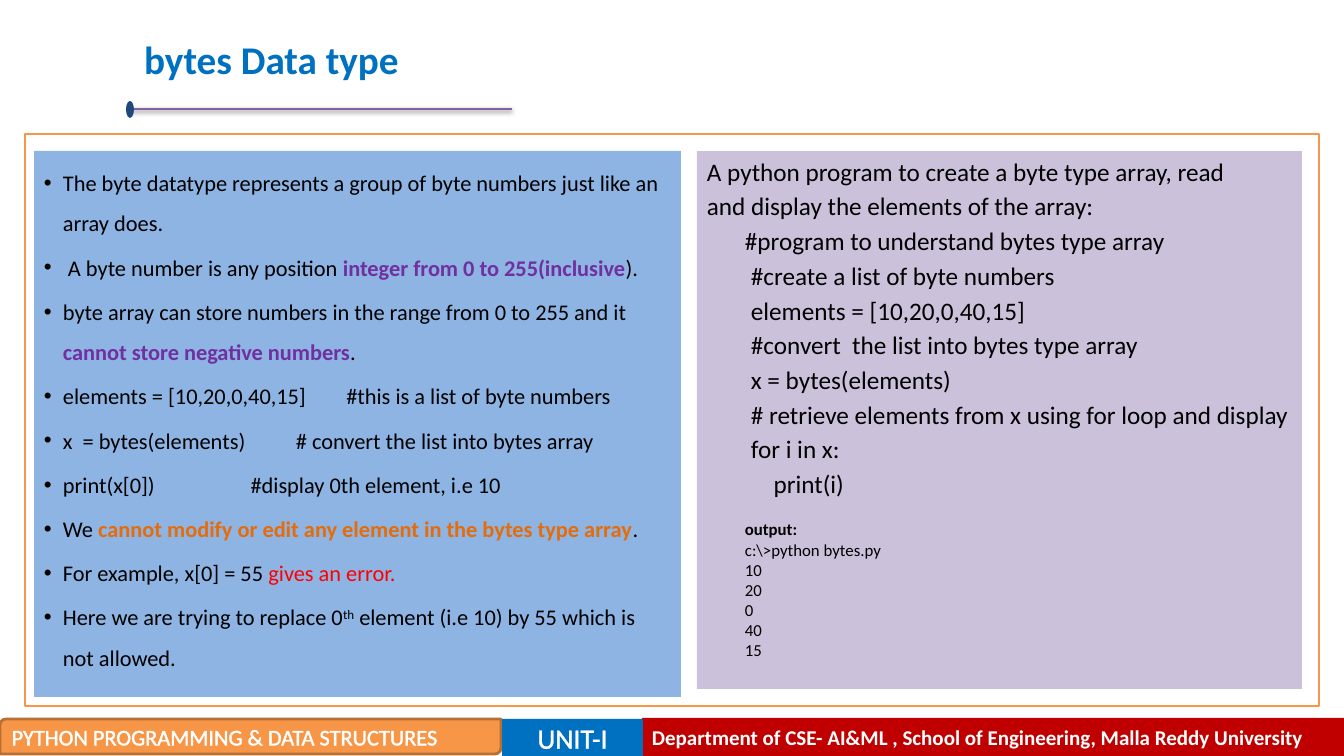
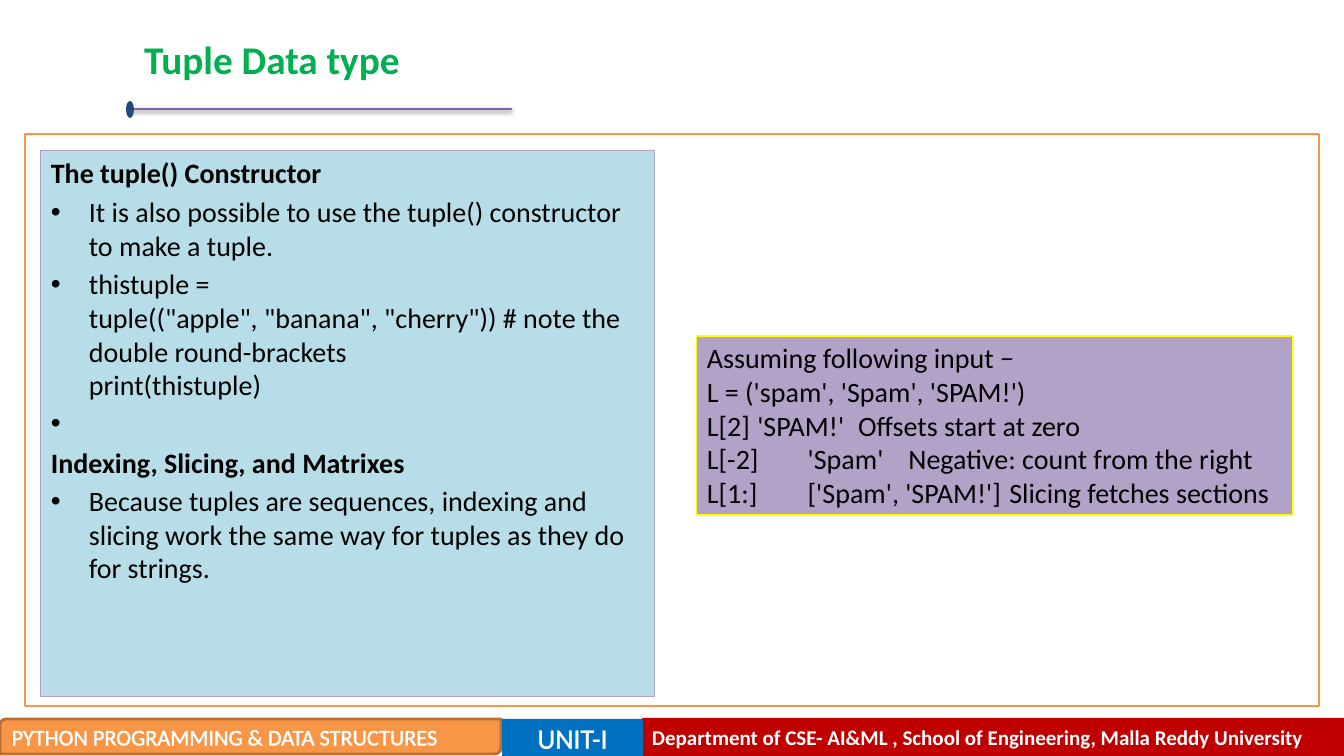
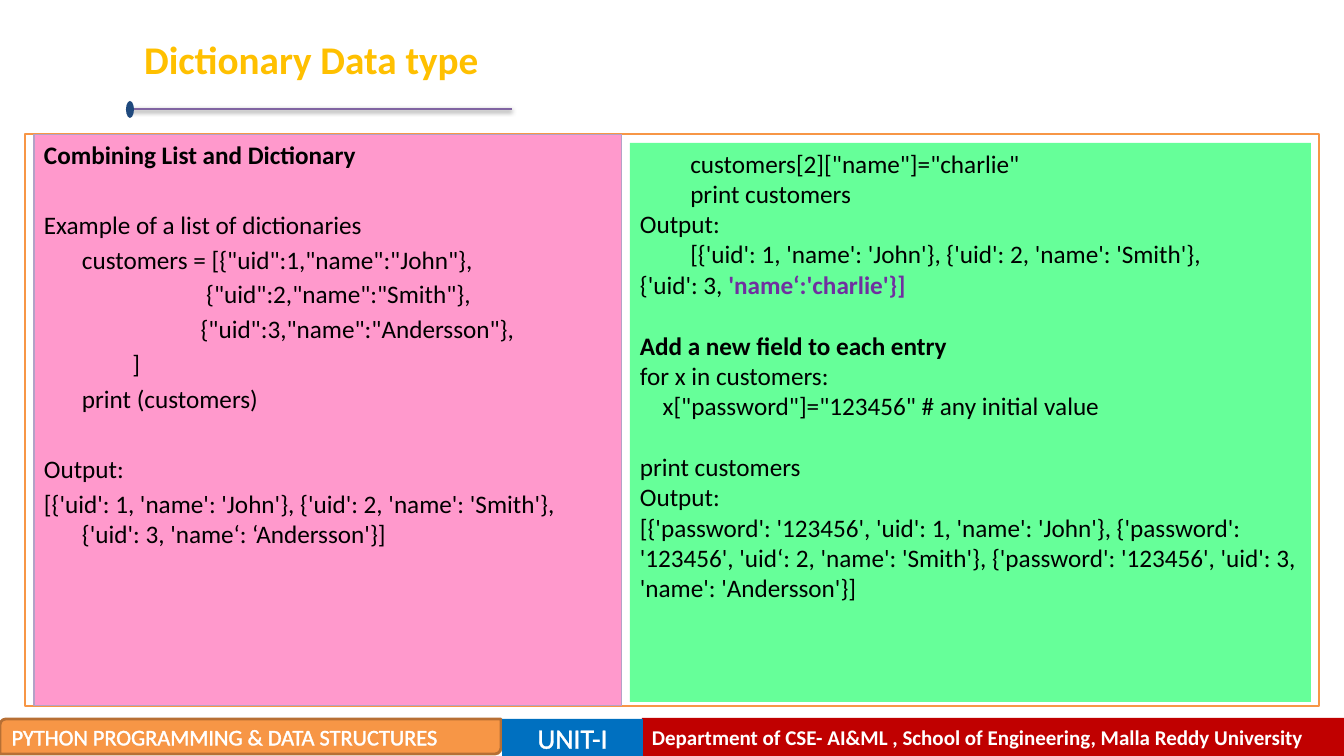
import pptx
import pptx.util
import pptx.dml.color
import pptx.enum.shapes
import pptx.enum.text
import pptx.oxml
import pptx.oxml.ns
from lxml import etree

RGB = pptx.dml.color.RGBColor
SHAPE = pptx.enum.shapes.MSO_SHAPE
ALIGN = pptx.enum.text.PP_ALIGN
ANCHOR = pptx.enum.text.MSO_ANCHOR
Pt = pptx.util.Pt
qn = pptx.oxml.ns.qn

EMU_PER_PX = 914400 / 100.8
FONT = "Calibri"
BLACK = RGB(0x00, 0x00, 0x00)
WHITE = RGB(0xFF, 0xFF, 0xFF)
BLUE = RGB(0x00, 0x70, 0xC0)
NAVY = RGB(0x1F, 0x49, 0x7D)
GREEN = RGB(0x00, 0xB0, 0x50)
GOLD = RGB(0xFF, 0xC0, 0x00)
RED = RGB(0xFF, 0x00, 0x00)
DARK_RED = RGB(0xC0, 0x00, 0x00)
ORANGE = RGB(0xF7, 0x96, 0x46)
BROWN = RGB(0xB7, 0x6F, 0x34)
DARK_ORANGE = RGB(0xE4, 0x6C, 0x0A)
PURPLE = RGB(0x70, 0x30, 0xA0)
RULE_PURPLE = RGB(0x80, 0x64, 0xA2)
SKY = RGB(0x8E, 0xB4, 0xE3)
LILAC = RGB(0xCC, 0xC1, 0xDA)
AQUA = RGB(0xB7, 0xDE, 0xE8)
MAUVE = RGB(0xB3, 0xA2, 0xC7)
YELLOW = RGB(0xFF, 0xFF, 0x00)
PINK = RGB(0xFF, 0x99, 0xCC)
MINT = RGB(0x66, 0xFF, 0x99)

TEXT_OUTLINE = (
    '<a:ln xmlns:a="http://schemas.openxmlformats.org/drawingml/2006/main" w="18415">'
    '<a:solidFill><a:srgbClr val="FFFFFF"/></a:solidFill></a:ln>'
)
RULE_SHADOW = (
    '<a:effectLst xmlns:a="http://schemas.openxmlformats.org/drawingml/2006/main">'
    '<a:outerShdw blurRad="40000" dist="20000" dir="5400000" rotWithShape="0">'
    '<a:srgbClr val="000000"><a:alpha val="38000"/></a:srgbClr>'
    '</a:outerShdw></a:effectLst>'
)


def px(n):
    return round(n * EMU_PER_PX)


def add_text(p, text, size=18, color=BLACK, bold=False, outline=False, raised=False):
    for i, piece in enumerate(text.split("\n")):
        if i:
            p.add_line_break()
        r = p.add_run()
        r.text = piece
        r.font.name = FONT
        r.font.size = Pt(size)
        r.font.bold = bold
        r.font.color.rgb = color
        if outline:
            r.font._element.insert(0, pptx.oxml.parse_xml(TEXT_OUTLINE))
        if raised:
            r.font._element.set("baseline", "30000")


def para(*parts, **style):
    return parts, style


def paras(*lines, **style):
    return [para(line, **style) for line in lines]


class Deck:
    def __init__(self):
        self.prs = pptx.Presentation()
        self.prs.slide_width = px(1344)
        self.prs.slide_height = px(756)
        self.s = None

    def slide(self, title, color):
        self.s = self.prs.slides.add_slide(self.prs.slide_layouts[5])
        self.footer()
        self.title(title, color)
        self.rule()
        self.box(25, 134, 1294, 572, line=ORANGE, width=2)

    def footer(self):
        self.label(642, 718, 702, 38, DARK_RED,
                   "Department of CSE- AI&ML , School of Engineering, Malla Reddy University",
                   size=15, bold=True)
        self.label(0, 719, 501, 35, ORANGE, "PYTHON PROGRAMMING & DATA STRUCTURES",
                   shape=SHAPE.ROUND_2_DIAG_RECTANGLE, line=BROWN, size=16, outline=True)
        self.label(502, 719, 141, 37, BLUE, "UNIT-I", align=ALIGN.CENTER,
                   size=20, outline=True)

    def title(self, text, color):
        sp = self.s.shapes.title
        sp.left, sp.top, sp.width, sp.height = px(134), px(25), px(638), px(68)
        tf = sp.text_frame
        tf.vertical_anchor = ANCHOR.MIDDLE
        p = tf.paragraphs[0]
        p.alignment = ALIGN.LEFT
        add_text(p, text, size=28, color=color, bold=True)

    def rule(self):
        c = self.s.shapes.add_connector(pptx.enum.shapes.MSO_CONNECTOR.STRAIGHT,
                                        px(130), px(109), px(512), px(109))
        c.line.color.rgb = RULE_PURPLE
        c.line.width = Pt(2)
        c._element.spPr.append(pptx.oxml.parse_xml(RULE_SHADOW))
        self.box(126, 101, 8, 17, fill=NAVY, shape=SHAPE.OVAL)

    def box(self, x, y, w, h, fill=None, line=None, width=0.75, shape=SHAPE.RECTANGLE):
        sp = self.s.shapes.add_shape(shape, px(x), px(y), px(w), px(h))
        sp.shadow.inherit = False
        if fill is None:
            sp.fill.background()
        else:
            sp.fill.solid()
            sp.fill.fore_color.rgb = fill
        if line is None:
            sp.line.fill.background()
        else:
            sp.line.color.rgb = line
            sp.line.width = Pt(width)
        return sp

    def label(self, x, y, w, h, fill, text, align=ALIGN.LEFT, line=None,
              shape=SHAPE.RECTANGLE, **font):
        sp = self.box(x, y, w, h, fill, line, 2, shape)
        tf = sp.text_frame
        tf.word_wrap = True
        tf.vertical_anchor = ANCHOR.MIDDLE
        p = tf.paragraphs[0]
        p.alignment = align
        add_text(p, text, color=WHITE, **font)

    def panel(self, x, y, w, h, fill, content, line=None, **style):
        tf = self.box(x, y, w, h, fill, line).text_frame
        tf.word_wrap = True
        tf.vertical_anchor = ANCHOR.TOP
        for i, (parts, own) in enumerate(content):
            p = tf.paragraphs[0] if i == 0 else tf.add_paragraph()
            self.paragraph(p, parts, first=i == 0, **{**style, **own})

    def paragraph(self, p, parts, first, margin=0, indent=0, bullet=False,
                  before=0, spacing=None, **font):
        pPr = p._p.get_or_add_pPr()
        pPr.set("marL", str(px(margin)))
        pPr.set("indent", str(px(indent)))
        if bullet:
            etree.SubElement(pPr, qn("a:buFont")).set("typeface", "Arial")
            etree.SubElement(pPr, qn("a:buChar")).set("char", "•")
        p.alignment = ALIGN.LEFT
        p.space_before = Pt(0 if first else before)
        if spacing:
            p.line_spacing = spacing
        for part in parts:
            text, own = (part, {}) if isinstance(part, str) else part
            add_text(p, text, **{**font, **own})


def bytes_slide(deck):
    deck.slide("bytes Data type", BLUE)
    strong = dict(color=PURPLE, bold=True)
    deck.panel(34, 151, 647, 546, SKY, [
        para("The byte datatype represents a group of byte numbers just like an array does."),
        para(" A byte number is any position ", ("integer from 0 to 255(inclusive", strong), ")."),
        para("byte array can store numbers in the range from 0 to 255 and it ",
             ("cannot store negative numbers", strong), "."),
        para("elements = [10,20,0,40,15] \t#this is a list of byte numbers"),
        para("x  = bytes(elements)  \t# convert the list into bytes array"),
        para("print(x[0]) \t\t #display 0th element, i.e 10"),
        para("We ", ("cannot modify or edit any element in the bytes type array",
                     dict(color=DARK_ORANGE, bold=True)), "."),
        para("For example, x[0] = 55 ", ("gives an error.", dict(color=RED))),
        para("Here we are trying to replace 0", ("th", dict(raised=True)),
             " element (i.e 10) by 55 which is not allowed."),
    ], size=16, margin=19, indent=-19, bullet=True, before=2.8, spacing=1.5)
    deck.panel(697, 151, 605, 538, LILAC, [
        *paras("A python program to create a byte type array, read",
               "and display the elements of the array:",
               "\t#program to understand bytes type array",
               margin=38, indent=-38, before=3.2),
        *paras("#create a list of byte numbers",
               "elements = [10,20,0,40,15]",
               "#convert  the list into bytes type array",
               "x = bytes(elements)",
               "# retrieve elements from x using for loop and display",
               "for i in x:",
               "    print(i)",
               margin=38, indent=6, before=3.2),
        para("output:", size=12, margin=38, bold=True, before=14.6),
        *paras("c:\\>python bytes.py", "10", "20", "0", "40", "15", size=12, margin=38),
    ])


def tuple_slide(deck):
    deck.slide("Tuple Data type", GREEN)
    heading = dict(bold=True, bullet=False)
    deck.panel(41, 151, 614, 546, AQUA, [
        para("The tuple() Constructor", **heading),
        para("It is also possible to use the tuple() constructor to make a tuple."),
        para("thistuple =\ntuple((\"apple\", \"banana\", \"cherry\")) # note the "
             "double round-brackets\nprint(thistuple)"),
        para(" "),
        para("Indexing, Slicing, and Matrixes", **heading),
        para("Because tuples are sequences, indexing and slicing work the same way "
             "for tuples as they do for strings."),
    ], line=MAUVE, size=20, margin=38, indent=-38, bullet=True, before=3.6)
    deck.panel(697, 336, 596, 179, MAUVE, paras(
        "Assuming following input −",
        "L = ('spam', 'Spam', 'SPAM!')",
        "L[2]\t'SPAM!'\tOffsets start at zero",
        "L[-2]\t'Spam'\tNegative: count from the right",
        "L[1:]\t['Spam', 'SPAM!']\tSlicing fetches sections",
    ), line=YELLOW, size=20)


def dictionary_slide(deck):
    deck.slide("Dictionary Data type", GOLD)
    deck.panel(34, 134, 588, 572, PINK, [
        para("Combining List and Dictionary", bold=True),
        para("Example of a list of dictionaries", before=28.6),
        *paras("\tcustomers = [{\"uid\":1,\"name\":\"John\"},",
               "\t\t             {\"uid\":2,\"name\":\"Smith\"},",
               "\t\t            {\"uid\":3,\"name\":\"Andersson\"},",
               "\t\t]",
               "\tprint (customers)"),
        para("Output:", before=28.6),
        para("[{'uid': 1, 'name': 'John'}, {'uid': 2, 'name': 'Smith'},"
             "{'uid': 3, 'name‘: ‘Andersson'}]"),
    ], line=MAUVE, margin=38, indent=-38, before=3.2)
    deck.panel(630, 143, 681, 559, MINT, [
        *paras("\tcustomers[2][\"name\"]=\"charlie\"", "\tprint customers", "Output:"),
        para("\t[{'uid': 1, 'name': 'John'}, {'uid': 2, 'name': 'Smith'}, \t{'uid': 3, ",
             ("'name‘:'charlie'}]", dict(color=PURPLE, bold=True))),
        para("Add a new field to each entry", bold=True, before=22),
        *paras("for x in customers:", "    x[\"password\"]=\"123456\" # any initial value"),
        para("print customers", before=22),
        *paras("Output:",
               "[{'password': '123456', 'uid': 1, 'name': 'John'}, {'password': '123456', "
               "'uid‘: 2, 'name': 'Smith'}, {'password': '123456', 'uid': 3, "
               "'name': 'Andersson'}]"),
    ])


def main():
    deck = Deck()
    bytes_slide(deck)
    tuple_slide(deck)
    dictionary_slide(deck)
    deck.prs.save("out.pptx")


if __name__ == "__main__":
    main()
